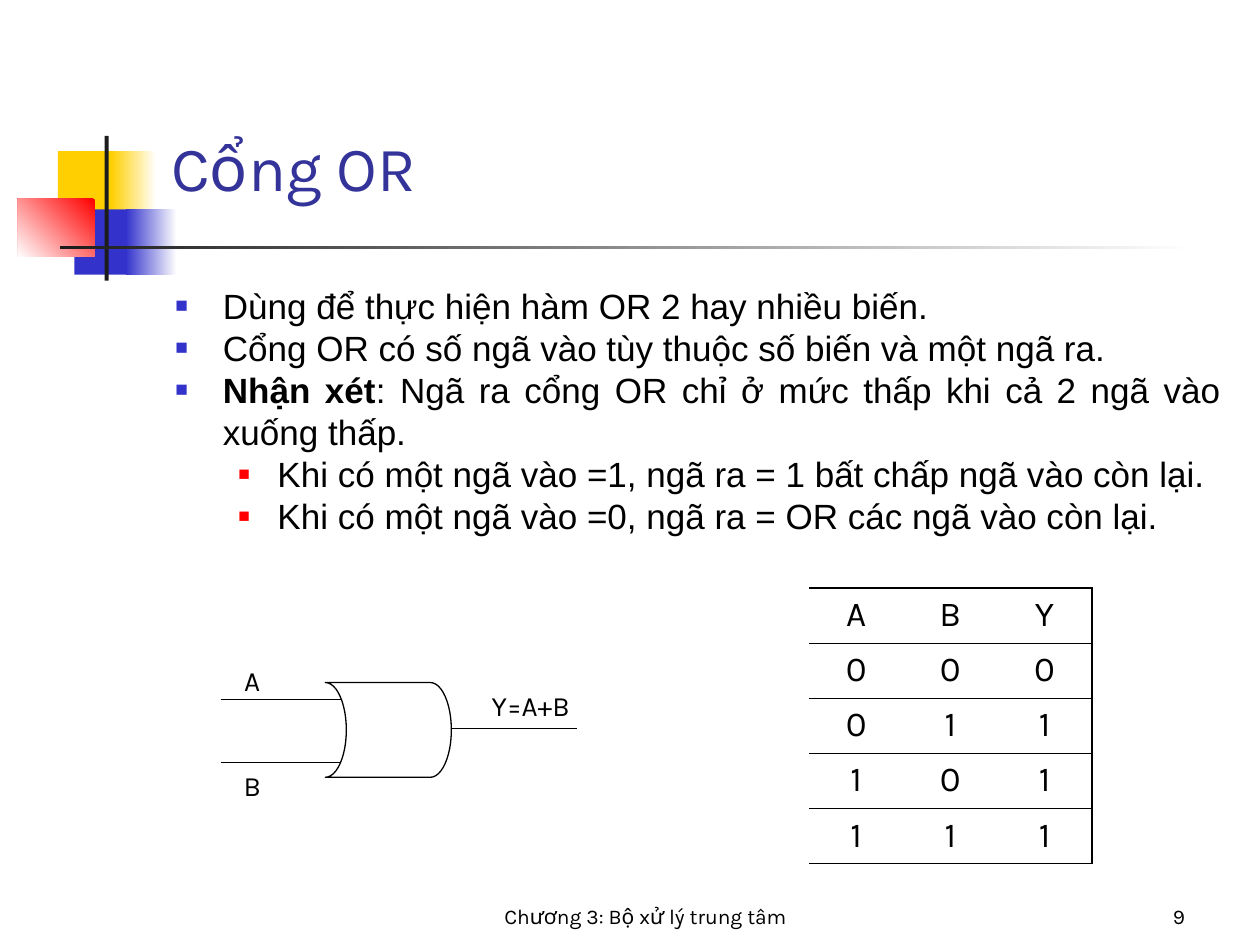
from lxml.etree import SubElement
from pptx import Presentation
from pptx.dml.color import RGBColor
from pptx.enum.shapes import MSO_CONNECTOR, MSO_SHAPE
from pptx.enum.text import MSO_ANCHOR, MSO_AUTO_SIZE, PP_ALIGN
from pptx.oxml.ns import qn
from pptx.util import Cm, Pt

BLACK, WHITE, BLUE, RED, YELLOW = "000000", "FFFFFF", "3333CC", "FF0000", "FFCF01"
DARK, NAVY = "1C1C1C", "333399"
NO_TABLE_STYLE = "{2D5ABB26-0587-4C30-8999-92F81FD0307C}"

TITLE = "Cổng OR"
# level, spans of (text, bold)
POINTS = [
    (0, [("Dùng để thực hiện hàm OR 2 hay nhiều biến.", False)]),
    (0, [("Cổng OR có số ngã vào tùy thuộc số biến và một ngã ra.", False)]),
    (0, [("Nhận xét", True),
         (": Ngã ra cổng OR chỉ ở mức thấp khi cả 2 ngã vào xuống thấp.", False)]),
    (1, [("Khi có một ngã vào =1, ngã ra = 1 bất chấp ngã vào còn lại.", False)]),
    (1, [("Khi có một ngã vào =0, ngã ra = OR các ngã vào còn lại.", False)]),
]
# level: left margin and hanging indent in cm, bullet colour, bullet size in percent
BULLETS = {0: (0.96, 0.96, BLUE, 60), 1: (2.06, 0.79, RED, 55)}
TRUTH_TABLE = ["ABY", "000", "011", "101", "111"]

# place in cm, colours (two make a gradient), angle counter-clockwise
ORNAMENTS = [
    ((1.17, 3.05, 1.22, 1.32), [YELLOW], 0),
    ((2.24, 3.05, 0.91, 1.32), [WHITE, YELLOW], 180),
    ((1.5, 4.22, 1.17, 1.32), [BLUE], 0),
    ((2.54, 4.22, 1.02, 1.32), [WHITE, BLUE], 180),
    ((0.36, 4.01, 1.55, 1.17), [RED, WHITE], 225),
    ((2.11, 2.74, 0.08, 2.92), [DARK], 0),
    ((1.22, 4.95, 22.86, 0.08), [WHITE, DARK], 180),
]
WIRES = [(4.45, 14.1), (4.45, 15.37), (9.09, 14.68)]
WIRE_LENGTH = 2.54
GATE = (6.56, 13.76, 2.54, 1.91)
GATE_LABELS = [
    ("A", (4.66, 13.26, 0.85, 0.94)),
    ("B", (4.66, 15.37, 0.85, 0.94)),
    ("Y=A+B", (9.53, 13.76, 2.34, 0.94)),
]
FOOTERS = [
    ("Chương 3: Bộ xử lý trung tâm", (5.29, 17.57, 15.45, 1.27), PP_ALIGN.CENTER),
    ("9", (21.17, 17.57, 2.97, 1.27), PP_ALIGN.RIGHT),
]


def color(hex_text):
    return RGBColor.from_string(hex_text)


def lengths(values):
    return [Cm(value) for value in values]


def write(para, spans, size, font="Karla", ink=BLACK, align=PP_ALIGN.CENTER, before=0):
    """Fill a paragraph with a text, or with spans of (text, bold)."""
    para.alignment, para.space_before = align, Pt(before)
    for text, bold in [(spans, False)] if isinstance(spans, str) else spans:
        span = para.add_run()
        span.text = text
        span.font.name, span.font.size, span.font.bold = font, Pt(size), bold
        span.font.color.rgb = color(ink)


def place(placeholder, position, anchor):
    placeholder.left, placeholder.top, placeholder.width, placeholder.height = lengths(position)
    frame = placeholder.text_frame
    frame.auto_size, frame.vertical_anchor = MSO_AUTO_SIZE.NONE, anchor
    return frame


def add_bullet(para, level):
    margin, hanging, ink, percent = BULLETS[level]
    para.level = level
    properties = para._p.get_or_add_pPr()
    properties.set("marL", str(Cm(margin)))
    properties.set("indent", str(-Cm(hanging)))
    SubElement(SubElement(properties, qn("a:buClr")), qn("a:srgbClr"), val=ink)
    SubElement(properties, qn("a:buSzPct"), val=str(percent * 1000))
    SubElement(properties, qn("a:buFont"), typeface="Arial")
    SubElement(properties, qn("a:buChar"), char="■")


def add_label(shapes, text, position, size, anchor=MSO_ANCHOR.TOP, **style):
    frame = shapes.add_textbox(*lengths(position)).text_frame
    frame.word_wrap, frame.vertical_anchor = True, anchor
    write(frame.paragraphs[0], text, size, **style)


def add_ornament(shapes, position, colors, angle):
    block = shapes.add_shape(MSO_SHAPE.RECTANGLE, *lengths(position))
    block.shadow.inherit = False
    block.line.fill.background()
    if len(colors) == 1:
        block.fill.solid()
        block.fill.fore_color.rgb = color(colors[0])
        return
    block.fill.gradient()
    block.fill.gradient_angle = angle
    for stop, ink in zip(block.fill.gradient_stops, colors):
        stop.color.rgb = color(ink)


def add_gate(shapes):
    for left, top in WIRES:
        wire = shapes.add_connector(
            MSO_CONNECTOR.STRAIGHT, *lengths((left, top, left + WIRE_LENGTH, top)))
        wire.line.color.rgb, wire.line.width = color(BLACK), Pt(0.75)
        SubElement(wire.element.spPr, qn("a:effectLst"))
    for text, position in GATE_LABELS:
        add_label(shapes, text, position, 16, before=10)
    gate = shapes.add_shape(MSO_SHAPE.FLOWCHART_STORED_DATA, *lengths(GATE))
    gate.element.spPr.xfrm.set("flipH", "1")
    gate.shadow.inherit = False
    gate.fill.solid()
    gate.fill.fore_color.rgb = color(WHITE)
    gate.line.color.rgb, gate.line.width = color(BLACK), Pt(0.75)


def add_border(cell, side, points):
    line = SubElement(cell._tc.get_or_add_tcPr(), qn("a:ln" + side), w=str(Pt(points)))
    SubElement(SubElement(line, qn("a:solidFill")), qn("a:srgbClr"), val=BLACK)


def add_truth_table(shapes, left=16.31, top=11.86, column=1.9, row=1.11):
    rows, columns = len(TRUTH_TABLE), len(TRUTH_TABLE[0])
    table = shapes.add_table(
        rows, columns, *lengths((left, top, column * columns, row * rows))).table
    table.first_row = table.horz_banding = False
    table._tbl.tblPr.find(qn("a:tableStyleId")).text = NO_TABLE_STYLE
    for row_index, values in enumerate(TRUTH_TABLE):
        for column_index, value in enumerate(values):
            cell = table.cell(row_index, column_index)
            write(cell.text_frame.paragraphs[0], value, 20, before=5)
            if column_index == columns - 1:
                add_border(cell, "R", 1.08)
            add_border(cell, "T", 1.08 if row_index == 0 else 0.45)
            add_border(cell, "B", 1.08 if row_index == rows - 1 else 0.45)
            cell.fill.background()


def main():
    deck = Presentation()
    deck.slide_width, deck.slide_height = Cm(25.4), Cm(19.05)
    page = deck.slides.add_slide(deck.slide_layouts[1])
    for ornament in ORNAMENTS:
        add_ornament(page.shapes, *ornament)

    title = place(page.shapes.title, (3.2, 2.54, 21.64, 1.7), MSO_ANCHOR.BOTTOM)
    write(title.paragraphs[0], TITLE, 36, ink=NAVY, align=PP_ALIGN.LEFT)
    body = place(page.placeholders[1], (3.28, 5.61, 21.59, 5.61), MSO_ANCHOR.TOP)
    for index, (level, spans) in enumerate(POINTS):
        para = body.add_paragraph() if index else body.paragraphs[0]
        write(para, spans, 20, font="Arial", align=PP_ALIGN.JUSTIFY)
        add_bullet(para, level)

    add_truth_table(page.shapes)
    add_gate(page.shapes.add_group_shape().shapes)
    for text, position, align in FOOTERS:
        add_label(page.shapes, text, position, 12, MSO_ANCHOR.BOTTOM, align=align)
    deck.save("out.pptx")


if __name__ == "__main__":
    main()
